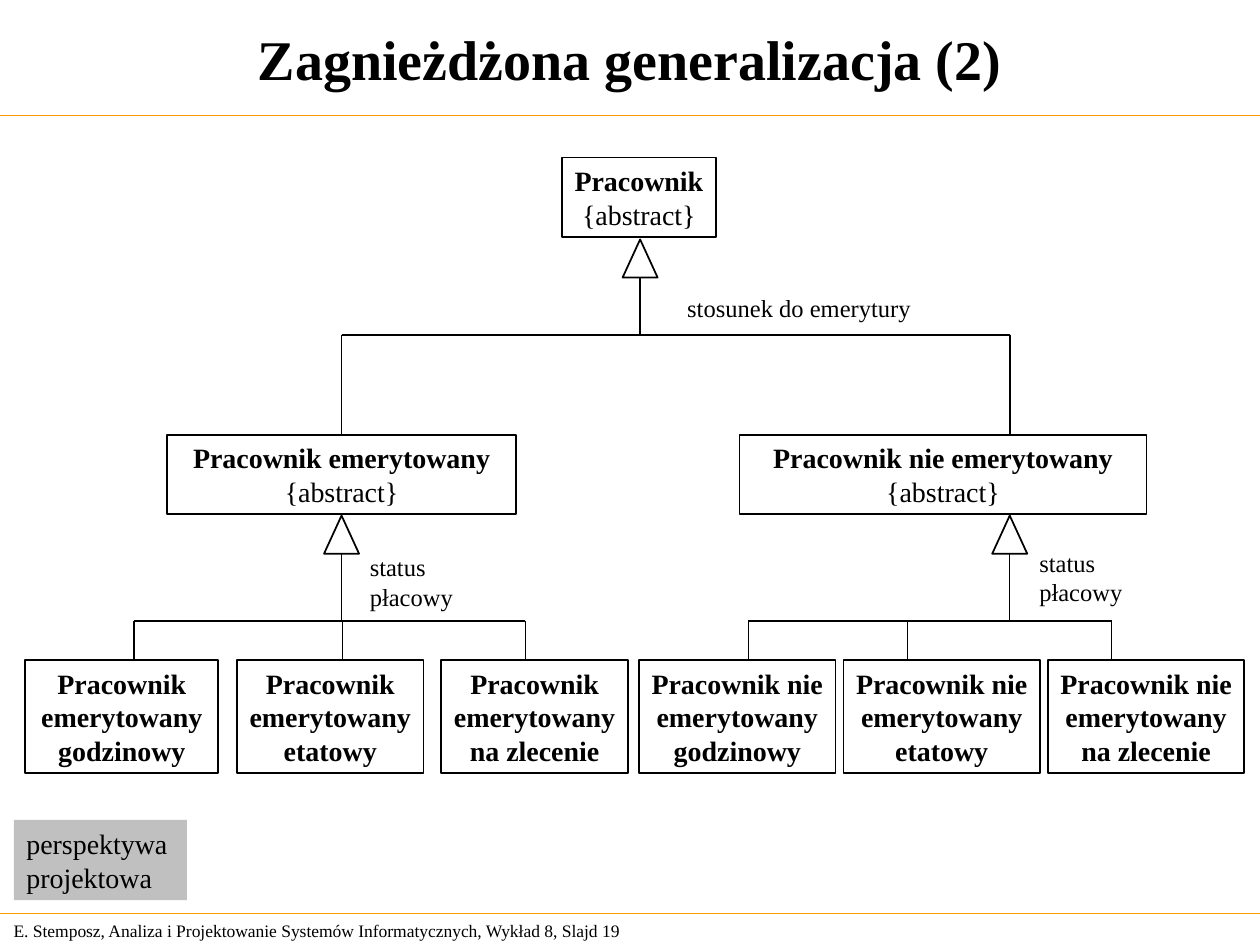
from lxml.etree import SubElement
from pptx import Presentation
from pptx.dml.color import RGBColor
from pptx.enum.shapes import MSO_CONNECTOR as CONN, MSO_SHAPE as SHAPE
from pptx.enum.text import MSO_ANCHOR as ANCHOR, PP_ALIGN as ALIGN
from pptx.oxml.ns import qn
from pptx.util import Pt


def rgb(value):
    return RGBColor.from_string(value)


class Diagram:
    font = "Times New Roman"
    ink = "000000"
    paper = "FFFFFF"
    rule = "FF9900"
    note_fill = "C0C0C0"

    def __init__(self, s):
        self.s = s

    def add_text(self, sp, lines, size, bold=0, align=ALIGN.LEFT, wrap=False):
        tf = sp.text_frame
        tf.word_wrap = wrap
        tf.vertical_anchor = ANCHOR.MIDDLE
        tf.margin_left = tf.margin_right = Pt(7.2)
        tf.margin_top = tf.margin_bottom = Pt(3.6)
        for i, line in enumerate(lines):
            p = tf.add_paragraph() if i else tf.paragraphs[0]
            p.alignment = align
            r = p.add_run()
            r.text = line
            r.font.name = self.font
            r.font.size = Pt(size)
            r.font.bold = i < bold
            r.font.color.rgb = rgb(self.ink)

    def title(self, text):
        sp = self.s.shapes.title
        sp.left, sp.top, sp.width, sp.height = Pt(0), Pt(0), Pt(720), Pt(66.2)
        self.add_text(sp, [text], 32, 1, ALIGN.CENTER, True)

    def label(self, x, y, w, h, lines, size=14):
        sp = self.s.shapes.add_textbox(Pt(x), Pt(y), Pt(w), Pt(h))
        self.add_text(sp, lines, size)

    def shape(self, kind, x, y, w, h, fill=None, line=True):
        sp = self.s.shapes.add_shape(kind, Pt(x), Pt(y), Pt(w), Pt(h))
        sp.shadow.inherit = False
        if fill:
            sp.fill.solid()
            sp.fill.fore_color.rgb = rgb(fill)
        else:
            sp.fill.background()
        if line:
            sp.line.color.rgb = rgb(self.ink)
            sp.line.width = Pt(1)
        else:
            sp.line.fill.background()
        return sp

    def box(self, x, y, w, h, lines, bold):
        sp = self.shape(SHAPE.RECTANGLE, x, y, w, h)
        self.add_text(sp, lines, 16, bold, ALIGN.CENTER)
        return sp

    def note(self, x, y, w, h, lines):
        sp = self.shape(SHAPE.RECTANGLE, x, y, w, h, self.note_fill, False)
        self.add_text(sp, lines, 16)

    def line(self, x1, y1, x2, y2, width=0.75, color=ink):
        c = self.s.shapes.add_connector(CONN.STRAIGHT, Pt(x1), Pt(y1), Pt(x2), Pt(y2))
        c.line.color.rgb = rgb(color)
        c.line.width = Pt(width)
        SubElement(c._element.spPr, qn("a:effectLst"))
        return c

    def branch(self, x, top, rail, bottom, drops, width):
        self.shape(SHAPE.ISOSCELES_TRIANGLE, x - 10, top, 20, 21.8, self.paper)
        self.line(x, top + 21.8, x, rail, width)
        self.line(drops[0], rail, drops[-1], rail, 1)
        return [self.line(d, rail, d, bottom, width) for d in drops]


def main():
    prs = Presentation()
    prs.slide_width, prs.slide_height = Pt(720), Pt(540)
    d = Diagram(prs.slides.add_slide(prs.slide_layouts[5]))

    d.title("Zagnieżdżona generalizacja (2)")
    for y in (66.2, 522):
        d.line(0, y, 720, y, color=d.rule)
    d.label(0.7, 522, 377, 19.4, [
        "E. Stemposz, Analiza i Projektowanie Systemów Informatycznych, Wykład 8, Slajd 19"], 10)

    root_x, retired_x, active_x = 365.8, 195.2, 577
    mid_y, leaf_y = 248.4, 377.3
    d.box(321.2, 90, 87.8, 45.4, ["Pracownik", "{abstract}"], 1)
    retired = d.box(95.4, mid_y, 199.6, 45.4, ["Pracownik emerytowany", "{abstract}"], 1)
    d.box(422.6, mid_y, 232.6, 45.4, ["Pracownik nie emerytowany", "{abstract}"], 1)
    drops = d.branch(root_x, 136.8, 191.3, mid_y, [retired_x, active_x], 1)
    drops[0].end_connect(retired, 0)
    d.label(385.6, 164.2, 144.7, 23.8, ["stosunek do emerytury"])

    kinds = ["godzinowy", "etatowy", "na zlecenie"]
    groups = [
        (retired_x, "Pracownik", [76.6, 195.8, 300.2], [14.4, 135.4, 252.2],
         [110.4, 106.6, 106.6], (204.2, 312.3)),
        (active_x, "Pracownik nie", [427.6, 518.4, 635.2], [365.2, 482, 598.8],
         [112.3] * 3, (586.8, 309.8)),
    ]
    for x, name, drops, lefts, widths, (label_x, label_y) in groups:
        d.branch(x, 294.6, 354.8, leaf_y, drops, 0.75)
        d.label(label_x, label_y, 62, 40, ["status", "płacowy"])
        for left, width, kind in zip(lefts, widths, kinds):
            d.box(left, leaf_y, width, 64.6, [name, "emerytowany", kind], 3)

    d.note(8, 468.6, 98.8, 45.8, ["perspektywa", "projektowa"])
    prs.save("out.pptx")


if __name__ == "__main__":
    main()
